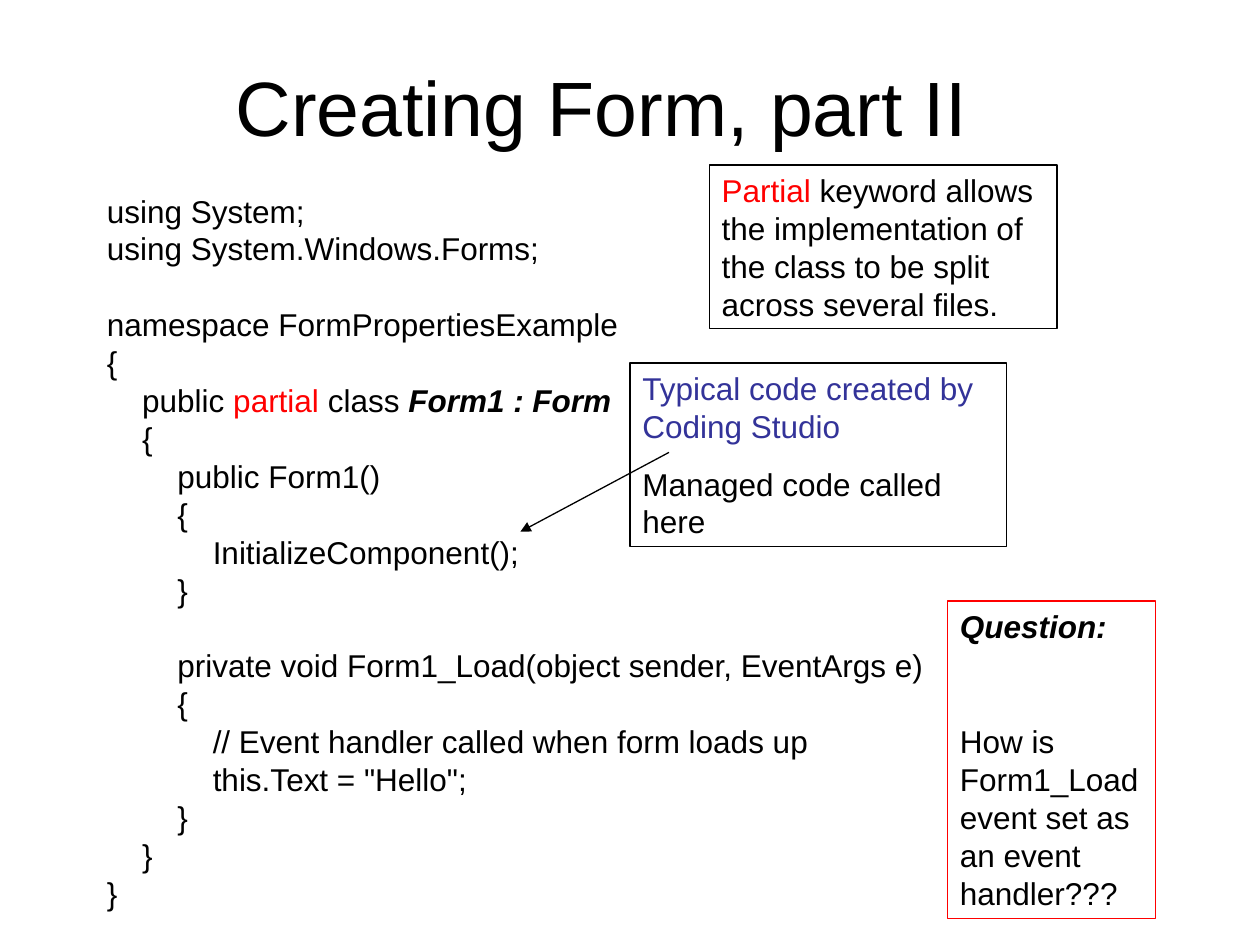
"""Build the slide that explains partial form classes."""
from dataclasses import dataclass, field
from typing import NamedTuple

from lxml.etree import SubElement
from pptx import Presentation
from pptx.dml.color import RGBColor
from pptx.enum.shapes import MSO_CONNECTOR, MSO_SHAPE
from pptx.enum.text import MSO_ANCHOR, PP_ALIGN
from pptx.oxml.ns import qn
from pptx.util import Inches, Pt

BLACK, RED, INDIGO = "000000", "FF0000", "333399"
FONT = "Arial"
LINE_HEIGHT = 21.65
NOTE_GAP = 11.2
INDENT = 0.28
SLIDE_WIDTH, SLIDE_HEIGHT = Inches(10), Inches(7.5)


class Area(NamedTuple):
    left: float
    top: float
    width: float
    height: float


class Span(NamedTuple):
    text: str
    color: str = BLACK
    strong: bool = False


@dataclass
class Line:
    spans: list[Span]
    depth: int = 0
    gap: float = 0


@dataclass
class Note:
    area: Area
    border: str
    lines: list[Line] = field(default_factory=list)


def code(text: str, depth: int = 0, gap: float = 0) -> Line:
    return Line([Span(text)], depth, gap)


CODE_AREA = Area(7.5, 19.6, 83.5, 77.33)
CODE = [
    code("using System;"),
    code("using System.Windows.Forms;"),
    code("namespace FormPropertiesExample", gap=LINE_HEIGHT),
    code("{"),
    Line([Span("public "), Span("partial", RED), Span(" class "),
          Span("Form1 : Form", strong=True)], depth=1),
    code("{", 1),
    code("public Form1()", 2),
    code("{", 2),
    code("InitializeComponent();", 3),
    code("}", 2),
    code("private void Form1_Load(object sender, EventArgs e)", 2, LINE_HEIGHT),
    code("{", 2),
    code("// Event handler called when form loads up", 3),
    code('this.Text = "Hello";', 3),
    code("}", 2),
    code("}", 1),
    code("}"),
]
MANAGED_CODE = Note(Area(50, 38.4, 29.9, 19.47), BLACK, [
    Line([Span("Typical code created by Coding Studio", INDIGO)]),
    Line([Span("Managed code called here")], gap=NOTE_GAP),
])
QUESTION = Note(Area(75.2, 63.6, 16.5, 33.6), RED, [
    Line([Span("Question:", strong=True)]),
    Line([Span("How is Form1_Load event set as an event handler???")],
         gap=LINE_HEIGHT + 2 * NOTE_GAP),
])
PARTIAL_KEYWORD = Note(Area(56.3, 17.47, 27.6, 17.33), BLACK, [
    Line([Span("Partial", RED),
          Span(" keyword allows the implementation of the class to be split "
               "across several files.")]),
])


def rgb(color: str) -> RGBColor:
    return RGBColor.from_string(color)


def across(share: float) -> int:
    return round(SLIDE_WIDTH * share / 100)


def down(share: float) -> int:
    return round(SLIDE_HEIGHT * share / 100)


def place(area: Area) -> tuple[int, int, int, int]:
    return across(area.left), down(area.top), across(area.width), down(area.height)


def apply(target, values: dict) -> None:
    for name, value in values.items():
        setattr(target, name, value)


def add_span(paragraph, span: Span, size: float = 18) -> None:
    run = paragraph.add_run()
    run.text = span.text
    apply(run.font, {"name": FONT, "size": Pt(size),
                     "bold": span.strong, "italic": span.strong})
    run.font.color.rgb = rgb(span.color)


def write_lines(frame, lines: list[Line]) -> None:
    apply(frame, {"word_wrap": True, "vertical_anchor": MSO_ANCHOR.TOP})
    for index, line in enumerate(lines):
        paragraph = frame.add_paragraph() if index else frame.paragraphs[0]
        apply(paragraph, {"alignment": PP_ALIGN.LEFT, "space_before": Pt(line.gap),
                          "line_spacing": Pt(LINE_HEIGHT)})
        if line.depth:
            properties = paragraph._p.get_or_add_pPr()
            properties.set("marL", str(Inches(INDENT * line.depth)))
        for span in line.spans:
            add_span(paragraph, span)


def add_title(slide, text: str, area: Area) -> None:
    title = slide.shapes.title
    apply(title, dict(zip(("left", "top", "width", "height"), place(area))))
    apply(title.text_frame, {"word_wrap": True, "vertical_anchor": MSO_ANCHOR.MIDDLE})
    heading = title.text_frame.paragraphs[0]
    heading.alignment = PP_ALIGN.LEFT
    add_span(heading, Span(text), size=44)


def add_note(slide, note: Note) -> None:
    box = slide.shapes.add_shape(MSO_SHAPE.RECTANGLE, *place(note.area))
    box.shadow.inherit = False
    box.fill.background()
    box.line.color.rgb = rgb(note.border)
    box.line.width = Pt(0.75)
    write_lines(box.text_frame, note.lines)


def add_arrow(slide, start: tuple[float, float], end: tuple[float, float]) -> None:
    arrow = slide.shapes.add_connector(
        MSO_CONNECTOR.STRAIGHT, across(start[0]), down(start[1]),
        across(end[0]), down(end[1]))
    arrow.line.color.rgb = rgb(BLACK)
    arrow.line.width = Pt(0.75)
    SubElement(arrow.line._get_or_add_ln(), qn("a:tailEnd"), type="triangle")
    SubElement(arrow._element.spPr, qn("a:effectLst"))


def main() -> None:
    deck = Presentation()
    apply(deck, {"slide_width": SLIDE_WIDTH, "slide_height": SLIDE_HEIGHT})
    slide = deck.slides.add_slide(deck.slide_layouts.get_by_name("Title Only"))
    add_title(slide, "Creating Form, part II", Area(17.7, 2.8, 66.3, 16.67))
    listing = slide.shapes.add_textbox(*place(CODE_AREA))
    write_lines(listing.text_frame, CODE)
    add_note(slide, MANAGED_CODE)
    add_arrow(slide, (53.1, 47.87), (41.3, 56.27))
    for note in (QUESTION, PARTIAL_KEYWORD):
        add_note(slide, note)
    deck.save("out.pptx")


if __name__ == "__main__":
    main()
